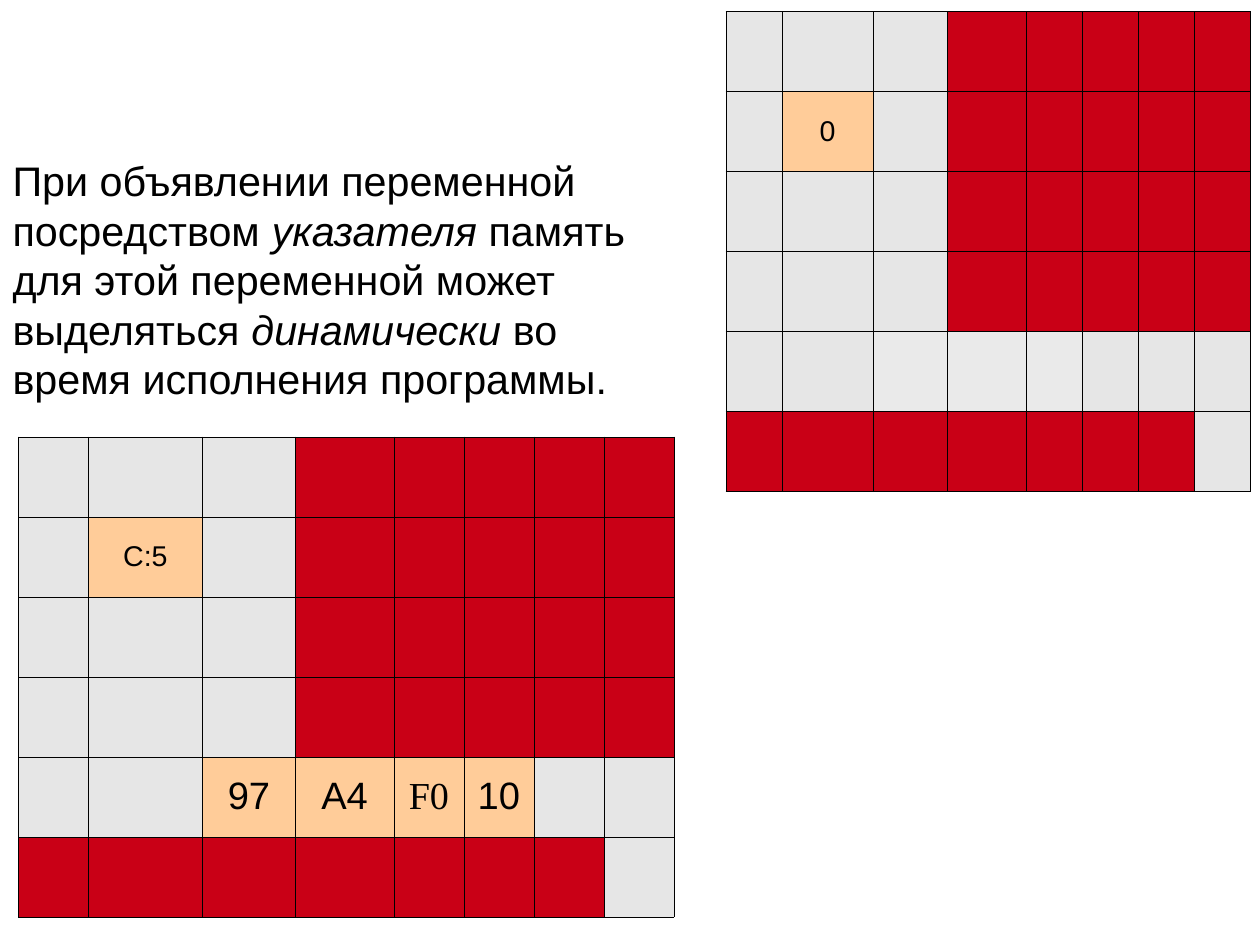
import lxml.etree
import pptx
import pptx.dml.color
import pptx.enum.text
import pptx.oxml.ns
import pptx.util

Inches = pptx.util.Inches
Pt = pptx.util.Pt
qn = pptx.oxml.ns.qn

FILLS = {"g": "E6E6E6", "l": "EAEAEA", "r": "C90016", "o": "FFCC99"}
FREE_ROW = "gggrrrrr"
VARIABLE_ROW = "gogrrrrr"
LAST_ROW = "rrrrrrrg"
COLUMN_WIDTHS = [0.49, 0.8, 0.65, 0.69] + [0.49] * 4


def rgb(color):
    return pptx.dml.color.RGBColor.from_string(color)


class MemorySlide:
    font_name = "Arial"
    text_color = "000000"
    border_color = "000000"
    border_width = 0.06
    row_height = 0.7

    def __init__(self, presentation):
        self.slide = presentation.slides.add_slide(presentation.slide_layouts[6])

    def style(self, font, size, name=None):
        font.name = name or self.font_name
        font.size = Pt(size)
        font.color.rgb = rgb(self.text_color)

    def add_text(self, left, top, width, height, runs, size):
        """Add a one-paragraph text box from (text, italic) pairs."""
        box = self.slide.shapes.add_textbox(
            Inches(left), Inches(top), Inches(width), Inches(height))
        frame = box.text_frame
        frame.word_wrap = True
        frame.margin_left = frame.margin_right = Inches(0.11)
        frame.margin_top = frame.margin_bottom = Inches(0.06)
        paragraph = frame.paragraphs[0]
        self.style(paragraph.font, size)
        for text, italic in runs:
            run = paragraph.add_run()
            run.text = text
            if italic:
                run.font.italic = True

    def add_borders(self, cell):
        properties = cell._tc.get_or_add_tcPr()
        for side in ("a:lnL", "a:lnR", "a:lnT", "a:lnB"):
            line = lxml.etree.SubElement(
                properties, qn(side), w=str(int(Pt(self.border_width))))
            fill = lxml.etree.SubElement(line, qn("a:solidFill"))
            lxml.etree.SubElement(fill, qn("a:srgbClr"), val=self.border_color)

    def add_memory_table(self, left, top, scale, rows, values):
        """Draw rows of fill letters; values maps (row, column) to text, size, font."""
        widths = [Inches(width * scale) for width in COLUMN_WIDTHS]
        table = self.slide.shapes.add_table(
            len(rows), len(widths), Inches(left), Inches(top),
            sum(widths), Inches(self.row_height * len(rows))).table
        table.first_row = table.horz_banding = False
        for column, width in zip(table.columns, widths):
            column.width = width
        for row_index, letters in enumerate(rows):
            table.rows[row_index].height = Inches(self.row_height)
            for column_index, letter in enumerate(letters):
                cell = table.cell(row_index, column_index)
                self.add_borders(cell)
                cell.fill.solid()
                cell.fill.fore_color.rgb = rgb(FILLS[letter])
                if (row_index, column_index) in values:
                    self.set_value(cell, *values[row_index, column_index])

    def set_value(self, cell, text, size, font_name=None):
        cell.text = text
        cell.vertical_anchor = pptx.enum.text.MSO_ANCHOR.MIDDLE
        paragraph = cell.text_frame.paragraphs[0]
        paragraph.alignment = pptx.enum.text.PP_ALIGN.CENTER
        self.style(paragraph.font, size, font_name)


def main():
    presentation = pptx.Presentation()
    presentation.slide_width = Pt(793.75)
    presentation.slide_height = Pt(595.25)
    memory = MemorySlide(presentation)

    upper_rows = [FREE_ROW, VARIABLE_ROW, FREE_ROW, FREE_ROW]
    memory.add_memory_table(
        6.35, 0.1, 1, upper_rows + ["gglllggg", LAST_ROW],
        {(1, 1): ("0", 18)})
    memory.add_memory_table(
        0.16, 3.82, 1.25, upper_rows + ["ggoooogg", LAST_ROW],
        {(1, 1): ("C:5", 18),
         (4, 2): ("97", 24),
         (4, 3): ("A4", 24),
         (4, 4): ("F0", 24, "Times New Roman"),
         (4, 5): ("10", 24)})
    memory.add_text(
        0, 1.3, 5.99, 2.28,
        [("При объявлении переменной посредством ", False),
         ("указателя", True),
         (" память для этой переменной может выделяться ", False),
         ("динамически", True),
         (" во время исполнения программы.", False)],
        size=26)

    presentation.save("out.pptx")


if __name__ == "__main__":
    main()
